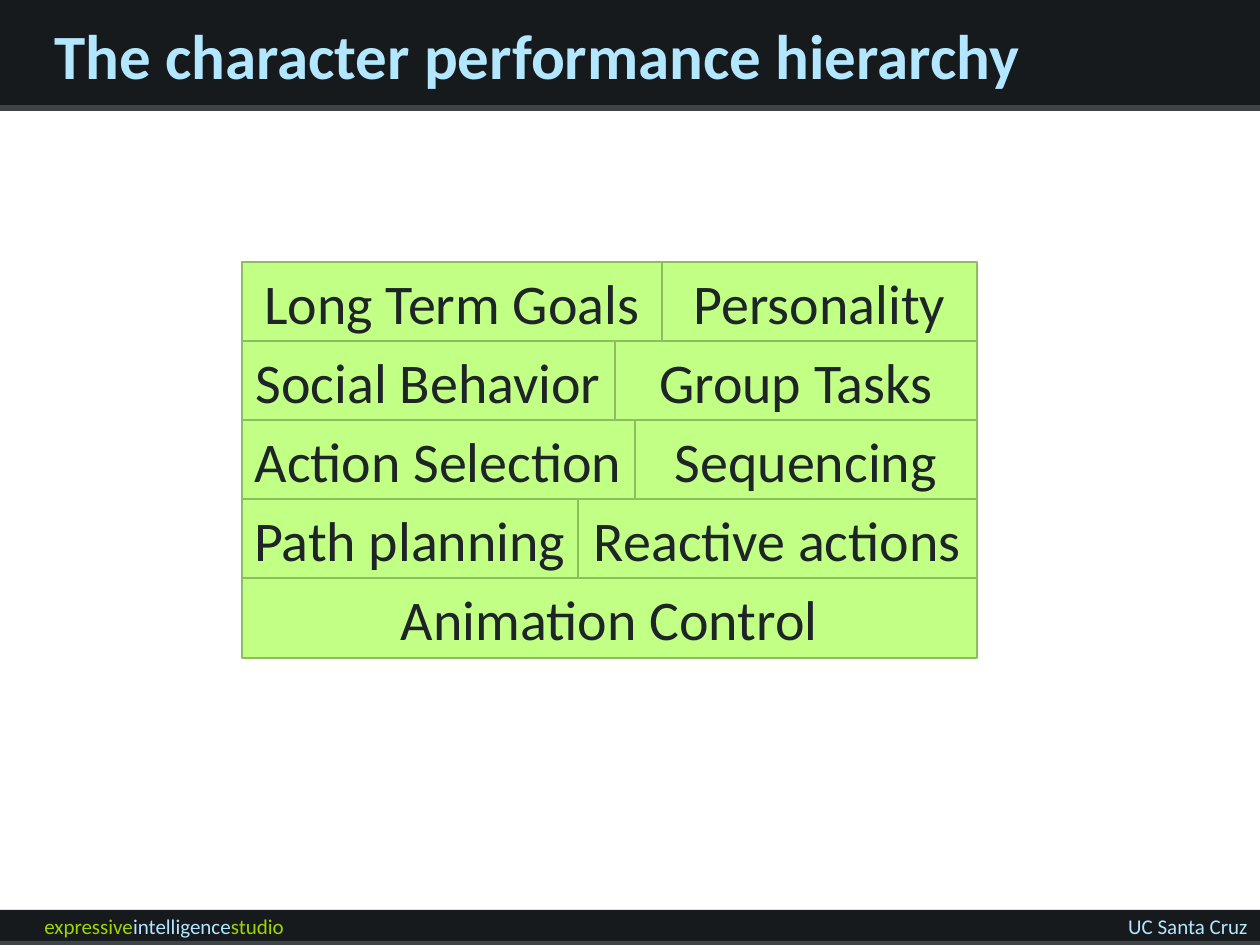
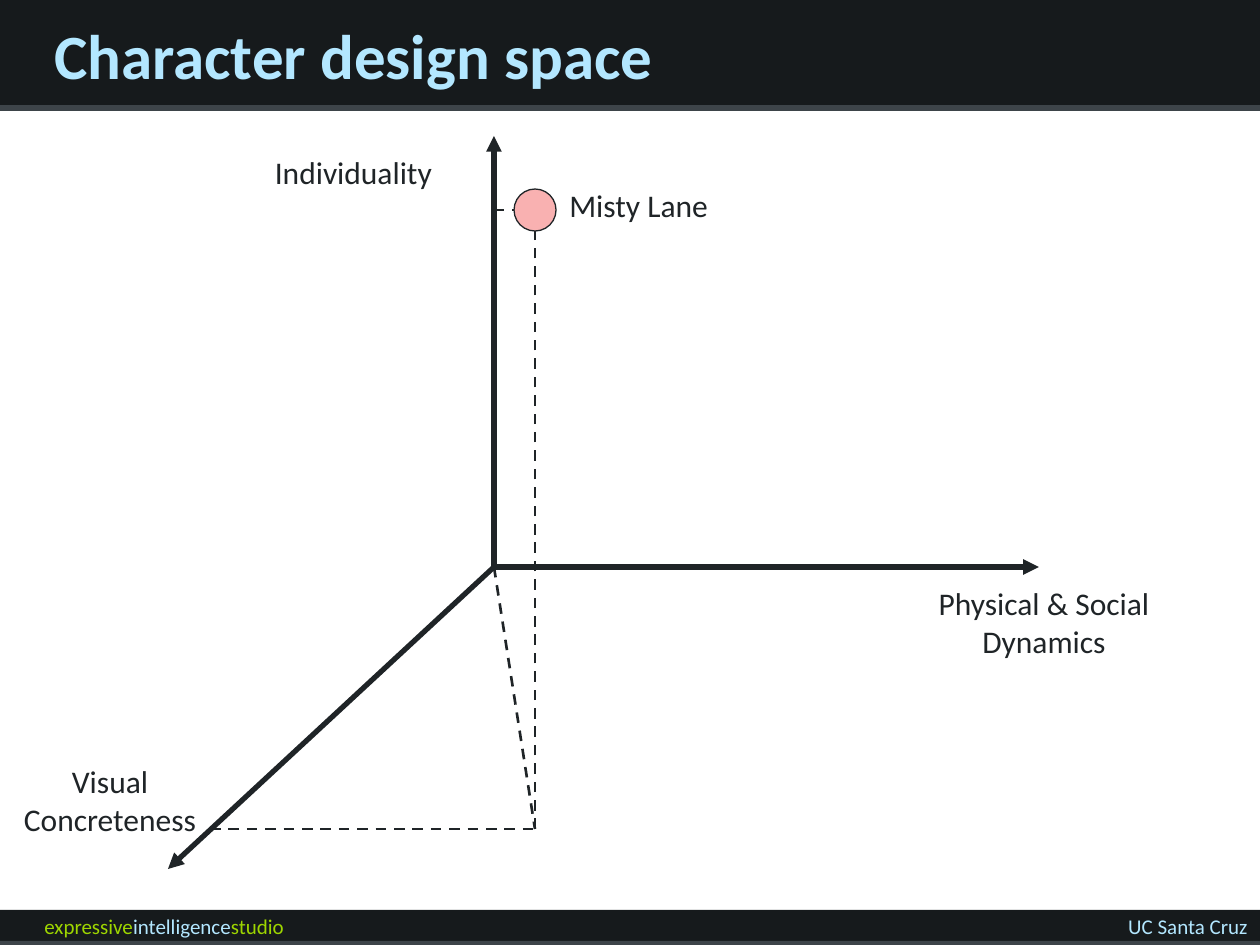
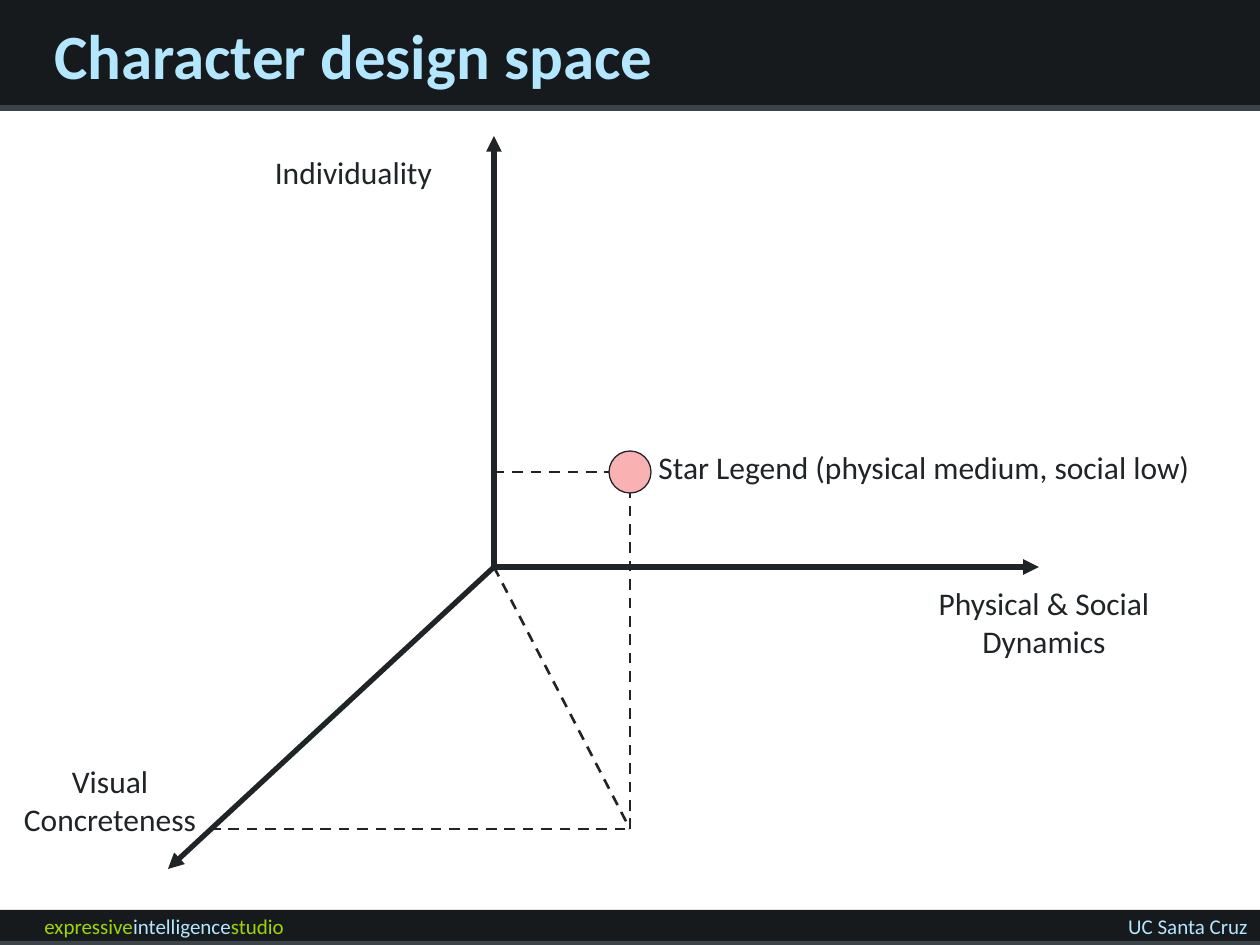
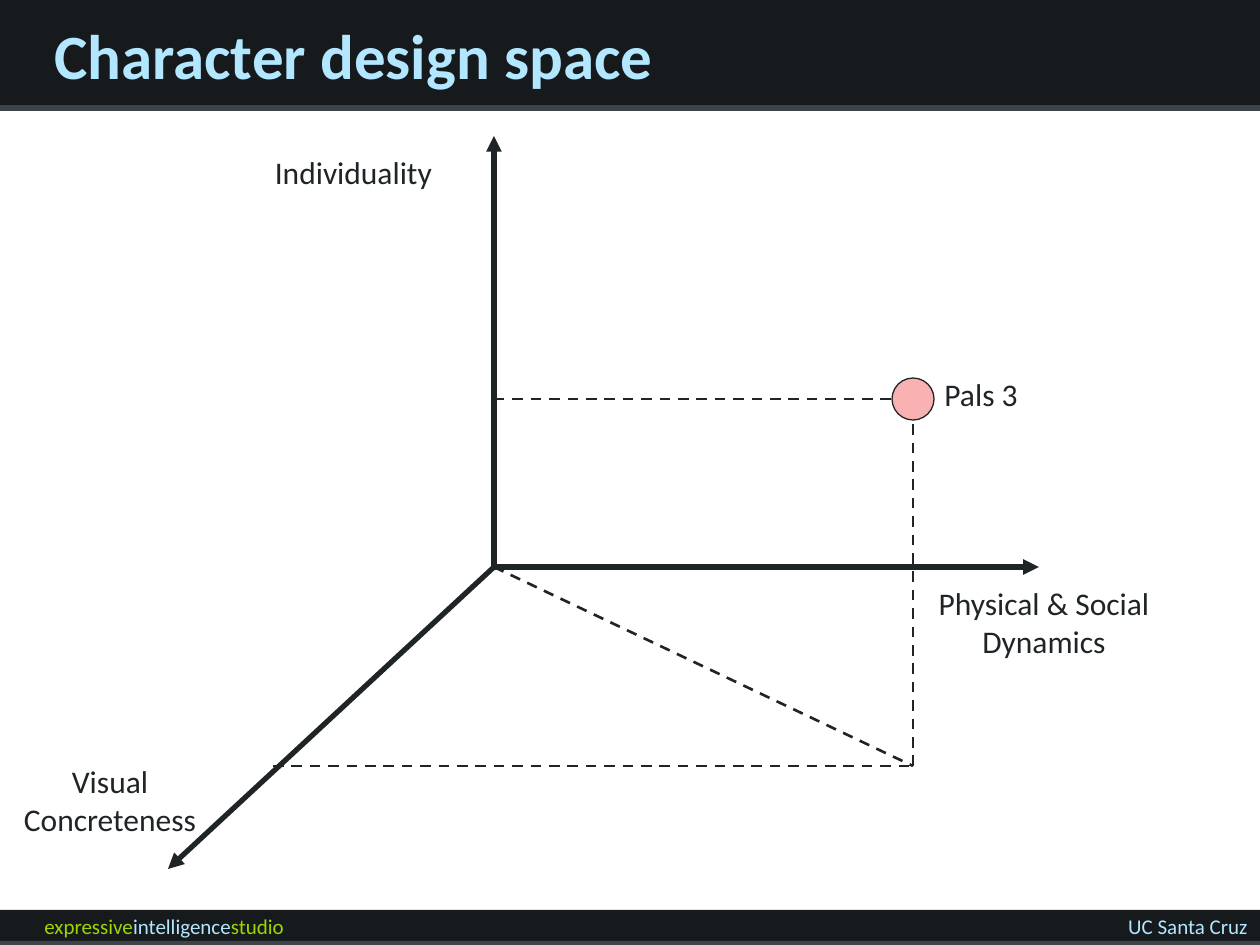
from dataclasses import dataclass

import pptx
import pptx.dml.color
import pptx.enum.dml
import pptx.enum.shapes
import pptx.enum.text
import pptx.oxml.ns
import pptx.util
from lxml import etree

EMU_PER_PX = 914400 / 126
ALIGN = pptx.enum.text.PP_ALIGN
ANCHOR = pptx.enum.text.MSO_ANCHOR
SHAPES = pptx.enum.shapes.MSO_SHAPE


@dataclass(frozen=True)
class Theme:
    """Colours, font and type sizes used on every slide."""
    font: str = "Calibri"
    band: str = "161A1C"
    stripe: str = "3D4449"
    sky: str = "B3E7FF"
    lime: str = "9ED600"
    ink: str = "1F2427"
    block: str = "C2FF85"
    block_edge: str = "8EBC60"
    marker: str = "F9B1B1"
    title_size: int = 36
    block_size: int = 32
    label_size: int = 18
    footer_size: int = 12


@dataclass(frozen=True)
class Box:
    """A region in px that places parts relative to its corner."""
    left: int
    top: int
    width: int
    height: int

    def inner(self, left, top, width, height):
        """Return a box whose offset is counted from this one."""
        return Box(self.left + left, self.top + top, width, height)

    def point(self, x, y):
        """Return a slide position for a point inside this box."""
        return self.left + x, self.top + y

    def emu(self):
        """Return left, top, width and height in EMU."""
        return [px(length) for length in (self.left, self.top, self.width, self.height)]


@dataclass(frozen=True)
class Game:
    """A game's marker, floor projection and label within the diagram."""
    name: str
    x: int
    y: int
    floor_y: int
    depth_x: int
    label_left: int
    label_width: int


THEME = Theme()
HEADER = Box(0, 0, 1260, 111)
CONTENT = Box(0, 111, 1260, 799)
FOOTER = Box(0, 907, 1260, 38)

HIERARCHY = [
    [("Long Term Goals", 420), ("Personality", 315)],
    [("Social Behavior", 373), ("Group Tasks", 362)],
    [("Action Selection", 393), ("Sequencing", 342)],
    [("Path planning", 336), ("Reactive actions", 399)],
    [("Animation Control", 735)],
]
GAMES = [
    Game("Misty Lane", 535, 99, 718, 210, 557, 166),
    Game("Star Legend (physical medium, social low)", 630, 361, 718, 210, 646, 562),
    Game("Pals 3", 913, 288, 655, 273, 932, 107),
]


def px(length):
    """Turn px into EMU."""
    return pptx.util.Emu(round(length * EMU_PER_PX))


def rgb(colour):
    """Turn a hex string into a colour."""
    return pptx.dml.color.RGBColor.from_string(colour)


def add_figure(slide, kind, box, fill, edge=None):
    """Add a filled preset shape with an optional thin outline."""
    shape = slide.shapes.add_shape(kind, *box.emu())
    shape.shadow.inherit = False
    shape.fill.solid()
    shape.fill.fore_color.rgb = rgb(fill)
    if edge:
        shape.line.color.rgb = rgb(edge)
        shape.line.width = pptx.util.Pt(0.75)
    else:
        shape.line.fill.background()
    return shape


def write(shape, lines, size, colour=THEME.ink, align=ALIGN.LEFT,
          anchor=ANCHOR.TOP, wrap=False):
    """Fill a shape with one styled paragraph per line."""
    frame = shape.text_frame
    frame.word_wrap = wrap
    frame.vertical_anchor = anchor
    frame.text = "\n".join(lines)
    for paragraph in frame.paragraphs:
        paragraph.alignment = align
        paragraph.font.name = THEME.font
        paragraph.font.size = pptx.util.Pt(size)
        paragraph.font.color.rgb = rgb(colour)
    return frame.paragraphs[0]


def add_text(slide, box, lines, size, **style):
    """Add a text box and return its first paragraph."""
    return write(slide.shapes.add_textbox(*box.emu()), lines, size, **style)


def add_line(slide, start, end, width, dashed=False, arrow=False):
    """Add a straight line, dashed or ending in an arrowhead on request."""
    connector = slide.shapes.add_connector(
        pptx.enum.shapes.MSO_CONNECTOR.STRAIGHT, *map(px, start + end))
    line = connector.line
    line.color.rgb = rgb(THEME.ink)
    line.width = pptx.util.Pt(width)
    if dashed:
        line.dash_style = pptx.enum.dml.MSO_LINE.DASH
    if arrow:
        etree.SubElement(line._get_or_add_ln(), pptx.oxml.ns.qn("a:tailEnd"), type="triangle")
    etree.SubElement(connector._element.spPr, pptx.oxml.ns.qn("a:effectLst"))


def add_header(slide, box, title):
    """Draw the title band with its stripe and title."""
    add_figure(slide, SHAPES.RECTANGLE, box.inner(0, 0, box.width, 105), THEME.band)
    add_figure(slide, SHAPES.RECTANGLE, box.inner(0, 105, box.width, 6), THEME.stripe)
    paragraph = add_text(slide, box.inner(42, 0, 1134, 109), [title], THEME.title_size,
                         colour=THEME.sky, anchor=ANCHOR.MIDDLE, wrap=True)
    paragraph.font.bold = True


def add_footer(slide, box):
    """Draw the footer band with the studio and university names."""
    add_figure(slide, SHAPES.RECTANGLE, box.inner(0, 3, box.width, 31), THEME.band)
    add_figure(slide, SHAPES.RECTANGLE, box.inner(0, 34, box.width, 6), THEME.stripe)
    studio = add_text(slide, box.inner(32, 0, 494, 38), [""], THEME.footer_size, wrap=True)
    for word, colour in (("expressive", THEME.lime), ("intelligence", THEME.sky),
                         ("studio", THEME.lime)):
        run = studio.add_run()
        run.text = word
        run.font.color.rgb = rgb(colour)
    university = add_text(slide, box.inner(840, 0, 420, 38), ["UC Santa Cruz"],
                          THEME.footer_size, colour=THEME.sky, align=ALIGN.RIGHT, wrap=True)
    for paragraph in (studio, university):
        paragraph.space_before = pptx.util.Pt(7.5)


def add_hierarchy(slide, box):
    """Stack the rows of performance layers from the top of the box."""
    pitch = box.height // len(HIERARCHY)
    for row, layers in enumerate(HIERARCHY):
        left = 0
        for name, width in layers:
            block = add_figure(slide, SHAPES.RECTANGLE,
                               box.inner(left, row * pitch, width, pitch + 1),
                               THEME.block, THEME.block_edge)
            write(block, [name], THEME.block_size, align=ALIGN.CENTER)
            left += width


def add_axes(slide, box, origin):
    """Draw the three labelled axes of the design space."""
    for tip in ((494, 25), (1039, 456), (168, 758)):
        add_line(slide, origin, box.point(*tip), 3, arrow=True)
    for lines, place in ((["Physical & Social", "Dynamics"], (922, 467, 244, 88)),
                         (["Visual", "Concreteness"], (11, 645, 198, 88)),
                         (["Individuality"], (259, 36, 189, 50))):
        add_text(slide, box.inner(*place), lines, THEME.label_size, align=ALIGN.CENTER)


def add_game(slide, box, origin, game):
    """Draw a game's marker, its dashed projections and its name."""
    radius = 21
    floor = box.point(game.x, game.floor_y)
    add_figure(slide, SHAPES.OVAL,
               box.inner(game.x - radius, game.y - radius, 2 * radius, 2 * radius),
               THEME.marker, THEME.ink)
    for start, end in (
        (floor, box.point(game.x, game.y + radius)),
        ((origin[0], box.top + game.y), box.point(game.x - radius, game.y)),
        (box.point(game.depth_x, game.floor_y), floor),
        (origin, floor),
    ):
        add_line(slide, start, end, 1.5, dashed=True)
    add_text(slide, box.inner(game.label_left, game.y - 30, game.label_width, 50),
             [game.name], THEME.label_size)


def add_design_space(slide, box, game):
    """Draw the axes and place one game among them."""
    origin = box.point(494, 456)
    add_axes(slide, box, origin)
    add_game(slide, box, origin, game)


def add_slide(presentation, title):
    """Add a blank slide with the shared header and footer."""
    slide = presentation.slides.add_slide(presentation.slide_layouts[6])
    add_footer(slide, FOOTER)
    add_header(slide, HEADER, title)
    return slide


def main():
    """Build and save the presentation."""
    presentation = pptx.Presentation()
    presentation.slide_width = px(1260)
    presentation.slide_height = px(945)
    slide = add_slide(presentation, "The character performance hierarchy")
    add_hierarchy(slide, CONTENT.inner(242, 151, 735, 395))
    for game in GAMES:
        add_design_space(add_slide(presentation, "Character design space"), CONTENT, game)
    presentation.save("out.pptx")


if __name__ == "__main__":
    main()
